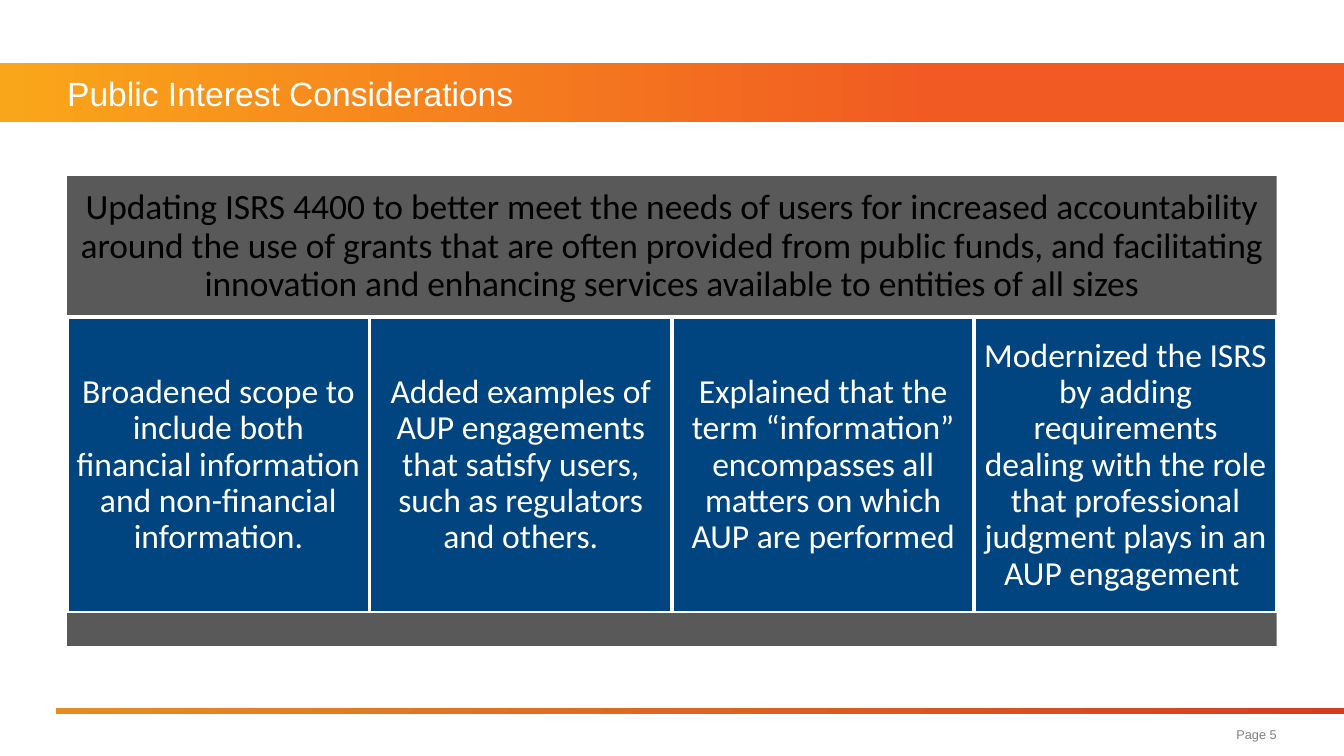
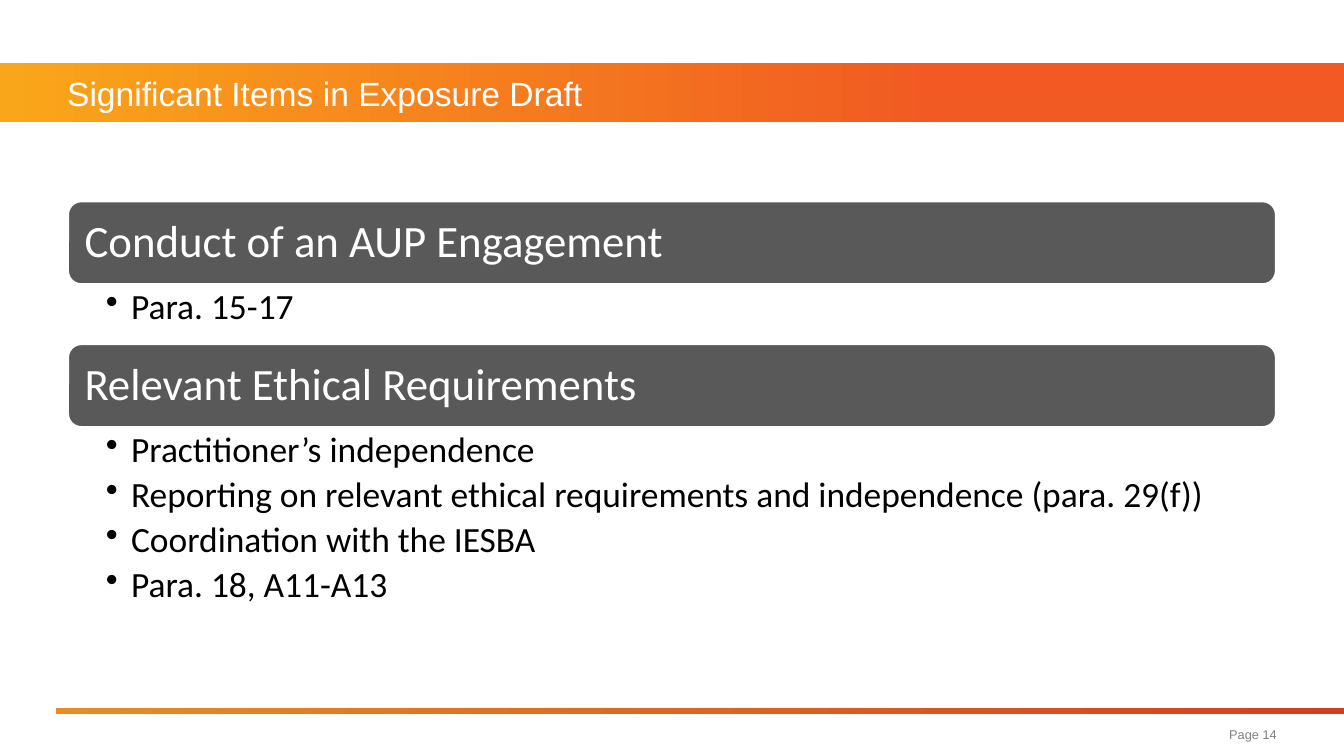
from lxml import etree
from pptx import Presentation
from pptx.dml.color import RGBColor
from pptx.enum.shapes import MSO_SHAPE
from pptx.enum.text import MSO_ANCHOR, PP_ALIGN
from pptx.oxml.ns import qn
from pptx.util import Cm, Pt

RECTANGLE, ROUNDED = MSO_SHAPE.RECTANGLE, MSO_SHAPE.ROUNDED_RECTANGLE
TOP, MIDDLE = MSO_ANCHOR.TOP, MSO_ANCHOR.MIDDLE
LEFT, CENTER, RIGHT = PP_ALIGN.LEFT, PP_ALIGN.CENTER, PP_ALIGN.RIGHT

WHITE = RGBColor(0xFF, 0xFF, 0xFF)
BLACK = RGBColor(0, 0, 0)
GRAY = RGBColor(0x59, 0x59, 0x59)
PAGE_GRAY = RGBColor(0x80, 0x80, 0x80)
BLUE = RGBColor(0x00, 0x44, 0x80)
AMBER = RGBColor(0xFA, 0xA6, 0x1A)
ORANGE = RGBColor(0xF1, 0x5A, 0x22)
RULE_GOLD = RGBColor(0xE5, 0x8D, 0x23)
RULE_RED = RGBColor(0xD5, 0x3D, 0x20)

HEADING_FONT, BODY_FONT = "Arial", "Calibri"
SLIDE_WIDTH, SLIDE_HEIGHT = Cm(25.4), Cm(14.29)
MARGIN = Cm(1.27)
CONTENT_WIDTH = SLIDE_WIDTH - 2 * MARGIN
BAND_TOP, BAND_HEIGHT = Cm(1.2), Cm(1.11)
BULLET_INDENT = Cm(0.48)

PURPOSE = (
    "Updating ISRS 4400 to better meet the needs of users for increased accountability "
    "around the use of grants that are often provided from public funds, and facilitating "
    "innovation and enhancing services available to entities of all sizes"
)
CONSIDERATIONS = [
    "Broadened scope to include both financial information and non-financial information.",
    "Added examples of AUP engagements that satisfy users, such as regulators and others.",
    "Explained that the term “information” encompasses all matters on which AUP are performed",
    "Modernized the ISRS by adding requirements dealing with the role that professional "
    "judgment plays in an AUP engagement ",
]
CONDUCT_ITEMS = ["Para. 15-17"]
ETHICS_ITEMS = [
    "Practitioner’s independence",
    "Reporting on relevant ethical requirements and independence (para. 29(f))",
    "Coordination with the IESBA",
    "Para. 18, A11-A13",
]


def add_block(slide, box, color=None, kind=RECTANGLE, outlined=False):
    """Add a shadowless shape, with a white outline if asked."""
    shape = slide.shapes.add_shape(kind, *box)
    shape.shadow.inherit = False
    if color is not None:
        shape.fill.solid()
        shape.fill.fore_color.rgb = color
    if outlined:
        shape.line.color.rgb = WHITE
        shape.line.width = Pt(2)
    else:
        shape.line.fill.background()
    return shape


def add_gradient(slide, box, start, end, end_position):
    """Add a bar that blends from left to right."""
    fill = add_block(slide, box).fill
    fill.gradient()
    fill.gradient_angle = 0
    for stop, color, position in zip(fill.gradient_stops, (start, end), (0, end_position)):
        stop.color.rgb = color
        stop.position = position


def set_text(shape, lines, size, color, font=BODY_FONT, align=LEFT, anchor=MIDDLE,
             insets=(0, 0, 0, 0), spacing=1.0, gap=0, bullet=False):
    """Write one paragraph per line in a single style."""
    frame = shape.text_frame
    frame.word_wrap = True
    frame.vertical_anchor = anchor
    frame.margin_left, frame.margin_top, frame.margin_right, frame.margin_bottom = insets
    frame.text = "\n".join(lines)
    for paragraph in frame.paragraphs:
        if bullet:
            properties = paragraph._p.get_or_add_pPr()
            properties.set("marL", str(BULLET_INDENT))
            properties.set("indent", str(-BULLET_INDENT))
            etree.SubElement(properties, qn("a:buChar")).set("char", "•")
        paragraph.alignment = align
        paragraph.line_spacing = spacing
        paragraph.space_after = Pt(gap)
        paragraph.font.size = Pt(size)
        paragraph.font.name = font
        paragraph.font.color.rgb = color


def add_frame(presentation, title, page):
    """Add a slide with its title band, bottom rule and page number."""
    slide = presentation.slides.add_slide(presentation.slide_layouts[6])
    add_gradient(slide, (0, BAND_TOP, SLIDE_WIDTH, BAND_HEIGHT), AMBER, ORANGE, 0.7)
    rule_left = Cm(1.06)
    add_gradient(slide, (rule_left, Cm(13.39), SLIDE_WIDTH - rule_left, Cm(0.1)),
                 RULE_GOLD, RULE_RED, 1)
    heading = slide.shapes.add_textbox(MARGIN, BAND_TOP, CONTENT_WIDTH, BAND_HEIGHT)
    set_text(heading, [title], 18, WHITE, HEADING_FONT)
    number_width = Cm(7.67)
    number = slide.shapes.add_textbox(SLIDE_WIDTH - MARGIN - number_width, Cm(13.56),
                                      number_width, Cm(0.64))
    set_text(number, [f"Page {page}"], 6.8, PAGE_GRAY, HEADING_FONT, RIGHT)
    return slide


def add_considerations(slide, left, top, width):
    """Stack a purpose banner, a row of equal tiles and a base bar."""
    banner_height, tile_height, base_height = Cm(2.67), Cm(5.59), Cm(0.62)
    banner = add_block(slide, (left, top, width, banner_height), GRAY)
    set_text(banner, [PURPOSE], 19, BLACK, align=CENTER, insets=[Cm(0.2)] * 4, spacing=0.9)
    tile_top = top + banner_height
    tile_width = width // len(CONSIDERATIONS)
    for index, text in enumerate(CONSIDERATIONS):
        tile = add_block(slide, (left + index * tile_width, tile_top, tile_width, tile_height),
                         BLUE, outlined=True)
        set_text(tile, [text], 18, WHITE, align=CENTER, insets=[Cm(0.18)] * 4, spacing=0.9)
    add_block(slide, (left, tile_top + tile_height, width, base_height), GRAY)


def add_topic(slide, left, top, width, heading, items, list_height):
    """Add a rounded heading with bullets below and return the bottom edge."""
    heading_height = Cm(1.6)
    bar = add_block(slide, (left, top, width, heading_height), GRAY, ROUNDED, outlined=True)
    set_text(bar, [heading], 24, WHITE, insets=[Cm(0.25)] * 4, spacing=0.9)
    list_top = top + heading_height
    bullets = slide.shapes.add_textbox(left, list_top, width, list_height)
    set_text(bullets, items, 19, BLACK, anchor=TOP, spacing=0.9, gap=3.6, bullet=True,
             insets=(Cm(0.73), Cm(0.08), Cm(0.48), Cm(0.08)))
    return list_top + list_height


def main():
    """Build and save the presentation."""
    presentation = Presentation()
    presentation.slide_width, presentation.slide_height = SLIDE_WIDTH, SLIDE_HEIGHT
    slide = add_frame(presentation, "Public Interest Considerations", 5)
    add_considerations(slide, MARGIN, Cm(3.33), CONTENT_WIDTH)
    slide = add_frame(presentation, "Significant Items in Exposure Draft", 14)
    next_top = add_topic(slide, MARGIN, Cm(3.79), CONTENT_WIDTH,
                         "Conduct of an AUP Engagement", CONDUCT_ITEMS, Cm(1.1))
    add_topic(slide, MARGIN, next_top, CONTENT_WIDTH,
              "Relevant Ethical Requirements", ETHICS_ITEMS, Cm(3.66))
    presentation.save("out.pptx")


if __name__ == "__main__":
    main()
